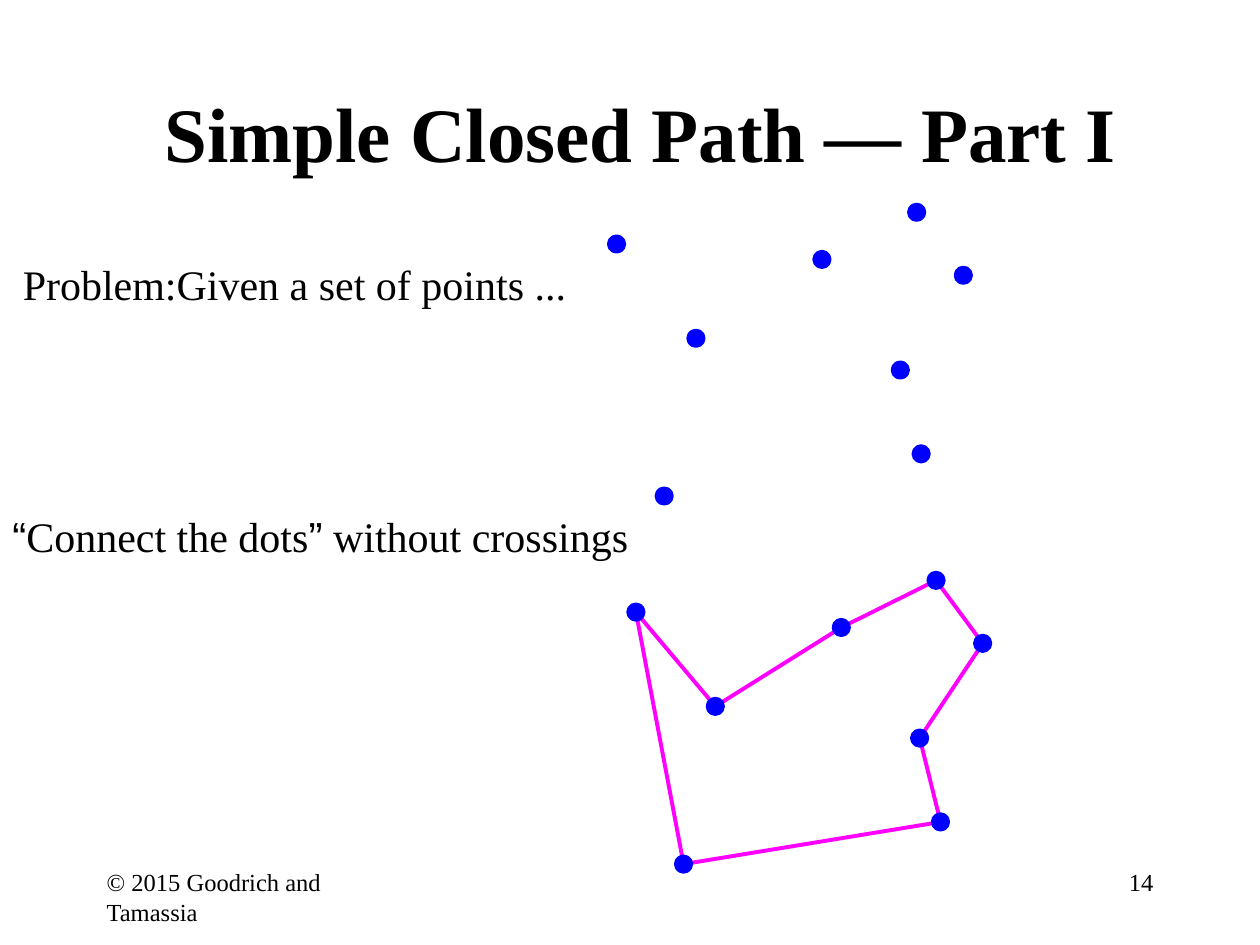
from itertools import pairwise

from lxml import etree
from pptx import Presentation
from pptx.dml.color import RGBColor
from pptx.enum.shapes import MSO_CONNECTOR, MSO_SHAPE
from pptx.enum.text import MSO_ANCHOR, MSO_AUTO_SIZE, PP_ALIGN
from pptx.oxml.ns import qn
from pptx.util import Cm, Pt

BLACK = RGBColor(0x00, 0x00, 0x00)
BLUE = RGBColor(0x00, 0x00, 0xFF)
MAGENTA = RGBColor(0xFF, 0x00, 0xFF)
LEFT, CENTER, RIGHT = PP_ALIGN.LEFT, PP_ALIGN.CENTER, PP_ALIGN.RIGHT
TOP, MIDDLE = MSO_ANCHOR.TOP, MSO_ANCHOR.MIDDLE
FIT_SHAPE = MSO_AUTO_SIZE.SHAPE_TO_FIT_TEXT
STRAIGHT = MSO_CONNECTOR.STRAIGHT
OVAL = MSO_SHAPE.OVAL
SERIF, SANS = "Times New Roman", "Arial"

DOT_SIZE = 0.28
PATH_POINTS = [
    (0, 0.64), (1.6, 2.54), (4.14, 0.95), (6.05, 0),
    (6.99, 1.27), (5.72, 3.18), (6.14, 4.87), (0.96, 5.72),
]


def add_text(slide, box, text, size, align=LEFT, anchor=TOP, bold=False, wrap=True):
    frame = slide.shapes.add_textbox(*map(Cm, box)).text_frame
    frame.word_wrap = wrap
    frame.vertical_anchor = anchor
    paragraph = frame.paragraphs[0]
    paragraph.alignment = align
    font = paragraph.font
    font.name, font.size, font.bold = SERIF, Pt(size), bold
    font.color.rgb = BLACK
    paragraph.text = text
    return frame


def add_title(slide, box):
    add_text(slide, box, "Simple Closed Path — Part I", 44, CENTER, MIDDLE, True)


def add_problem(slide, box):
    frame = add_text(slide, box, "Problem:Given a set of points ...", 24)
    frame.auto_size = FIT_SHAPE


def add_task(slide, box):
    frame = add_text(slide, box, "", 24, wrap=False)
    frame.auto_size = FIT_SHAPE
    pieces = [("“", SANS), ("Connect the dots", SERIF),
              ("”", SANS), (" without crossings", SERIF)]
    for words, typeface in pieces:
        run = frame.paragraphs[0].add_run()
        run.text = words
        run.font.name = typeface


def add_footer(slide, box):
    left, top, width, height = box
    part = 5.29
    add_text(slide, (left, top, part, height), "© 2015 Goodrich and Tamassia", 14)
    add_text(slide, (left + width - part, top, part, height), "14", 14, RIGHT)


def add_edge(slide, start, end):
    edge = slide.shapes.add_connector(STRAIGHT, *map(Cm, start + end))
    edge.line.color.rgb = MAGENTA
    edge.line.width = Pt(2.25)
    etree.SubElement(edge._element.spPr, qn("a:effectLst"))


def add_dot(slide, center):
    x, y = center
    corner = (x - DOT_SIZE / 2, y - DOT_SIZE / 2)
    dot = slide.shapes.add_shape(OVAL, *map(Cm, corner + (DOT_SIZE, DOT_SIZE)))
    dot.shadow.inherit = False
    dot.fill.solid()
    dot.fill.fore_color.rgb = BLUE
    dot.line.color.rgb = BLUE
    dot.line.width = Pt(3)


def add_point_set(slide, left, top, connected=False):
    points = [(left + x, top + y) for x, y in PATH_POINTS]
    if connected:
        for start, end in pairwise(points + points[:1]):
            add_edge(slide, start, end)
    for point in points:
        add_dot(slide, point)


def main():
    presentation = Presentation()
    presentation.slide_width, presentation.slide_height = Cm(25.4), Cm(19.05)
    slide = presentation.slides.add_slide(presentation.slide_layouts[6])
    add_footer(slide, (1.9, 17.36, 21.6, 1.27))
    add_title(slide, (2.12, 1.06, 21.59, 3.18))
    add_problem(slide, (0.21, 5.08, 17.57, 1.27))
    add_task(slide, (0, 10.16, 13.1, 1.27))
    add_point_set(slide, 12.43, 4.28)
    add_point_set(slide, 12.82, 11.7, connected=True)
    presentation.save("out.pptx")


if __name__ == "__main__":
    main()
